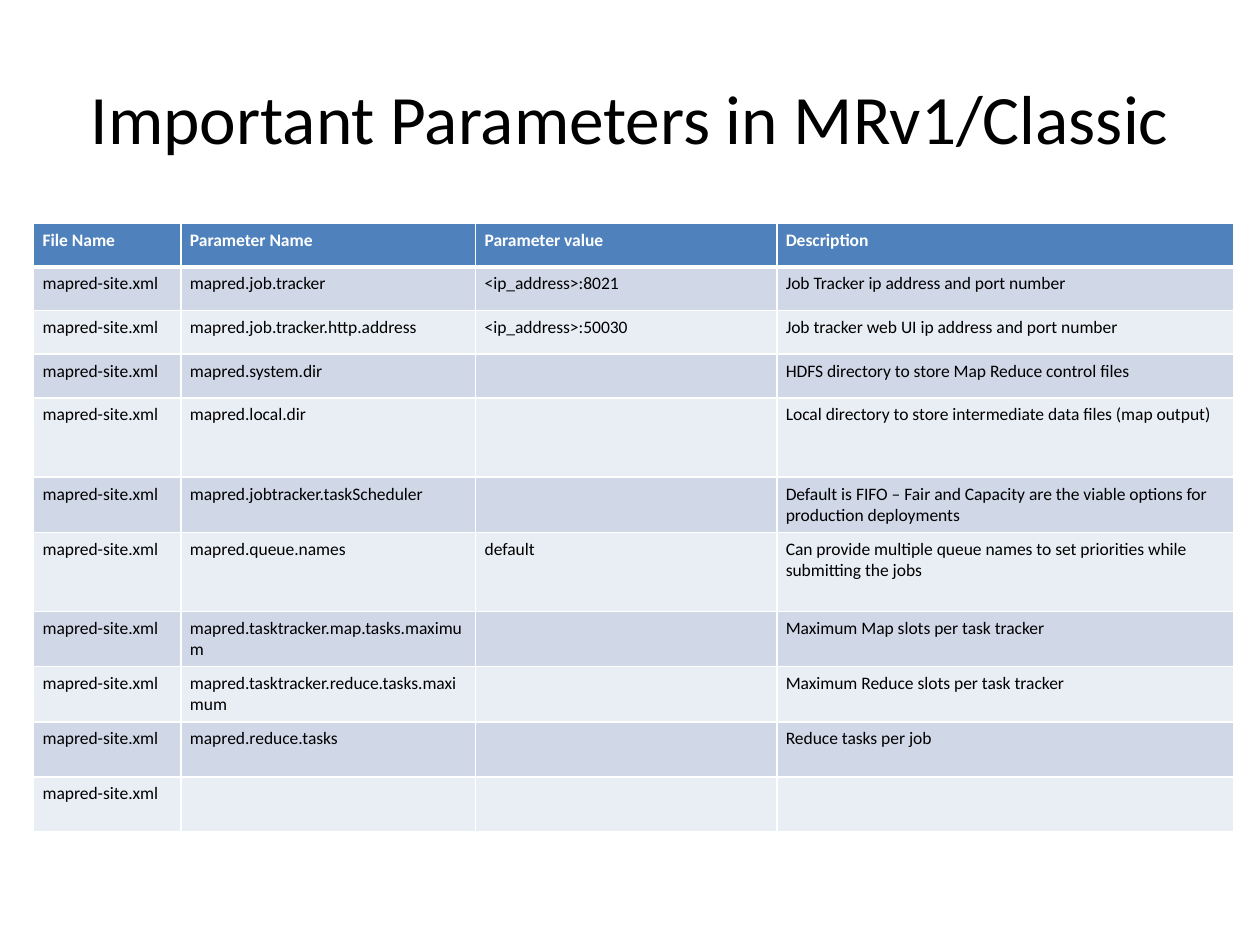
from lxml.etree import SubElement
from pptx import Presentation
from pptx.dml.color import RGBColor
from pptx.enum.text import MSO_ANCHOR, PP_ALIGN
from pptx.oxml.ns import qn
from pptx.util import Cm, Pt

FONT = "Calibri"
WHITE, BLACK, HEADER_FILL = "FFFFFF", "000000", "4F81BD"
BAND_FILLS = ["D0D8E8", "E9EDF4"]
HEADERS = ["File Name", "Parameter Name", "Parameter value", "Description"]
FILE_NAME = "mapred-site.xml"
SHORT, MEDIUM, TALL = 0.88, 1.11, 1.6
COL_WIDTHS = [2.97, 5.94, 6.07, 9.22]
# Row height, parameter name, value, description
PARAMETERS = [
    (SHORT, "mapred.job.tracker", "<ip_address>:8021",
     "Job Tracker ip address and port number"),
    (SHORT, "mapred.job.tracker.http.address", "<ip_address>:50030",
     "Job tracker web UI ip address and port number"),
    (SHORT, "mapred.system.dir", "",
     "HDFS directory to store Map Reduce control files"),
    (TALL, "mapred.local.dir", "",
     "Local directory to store intermediate data files (map output)"),
    (MEDIUM, "mapred.jobtracker.taskScheduler", "",
     "Default is FIFO – Fair and Capacity are the viable options for "
     "production deployments"),
    (TALL, "mapred.queue.names", "default",
     "Can provide multiple queue names to set priorities while "
     "submitting the jobs"),
    (MEDIUM, "mapred.tasktracker.map.tasks.maximum", "",
     "Maximum Map slots per task tracker"),
    (MEDIUM, "mapred.tasktracker.reduce.tasks.maximum", "",
     "Maximum Reduce slots per task tracker"),
    (MEDIUM, "mapred.reduce.tasks", "", "Reduce tasks per job"),
    (MEDIUM, "", "", ""),
]


def rgb(color):
    return RGBColor.from_string(color)


def format_runs(p, size, color, bold=False):
    for r in p.runs:
        r.font.name = FONT
        r.font.size = Pt(size)
        r.font.bold = bold
        r.font.color.rgb = rgb(color)


def add_title(slide, text):
    box = slide.shapes.add_textbox(Cm(1.27), Cm(0.76), Cm(22.86), Cm(3.18))
    tf = box.text_frame
    tf.word_wrap = True
    tf.vertical_anchor = MSO_ANCHOR.MIDDLE
    tf.text = text
    p = tf.paragraphs[0]
    p.alignment = PP_ALIGN.CENTER
    format_runs(p, 39.6, BLACK)


def set_borders(cell, top=1, bottom=1):
    """Draw white lines of the given point widths; call before filling."""
    tcPr = cell._tc.get_or_add_tcPr()
    for side, width in (("L", 1), ("R", 1), ("T", top), ("B", bottom)):
        ln = SubElement(tcPr, qn(f"a:ln{side}"), w=str(Pt(width)))
        fill = SubElement(ln, qn("a:solidFill"))
        SubElement(fill, qn("a:srgbClr"), val=WHITE)


def fill_cell(cell, text, row):
    is_header = row == 0
    set_borders(cell, top=3 if row == 1 else 1, bottom=3 if is_header else 1)
    cell.fill.solid()
    cell.fill.fore_color.rgb = rgb(
        HEADER_FILL if is_header else BAND_FILLS[(row - 1) % 2])
    cell.margin_left = cell.margin_right = Cm(0.18)
    cell.margin_top = cell.margin_bottom = Cm(0.13)
    p = cell.text_frame.paragraphs[0]
    if text:
        p.text = text
        format_runs(p, 10, WHITE if is_header else BLACK, is_header)
    else:
        # Keeps an empty cell from stretching its row
        SubElement(p._p, qn("a:endParaRPr"), sz="1000")


def add_parameter_table(slide):
    rows = [(SHORT, *HEADERS)]
    rows += [(height, FILE_NAME, *texts) for height, *texts in PARAMETERS]
    table = slide.shapes.add_table(
        len(rows), len(HEADERS), Cm(0.68), Cm(4.5),
        Cm(sum(COL_WIDTHS)), Cm(sum(row[0] for row in rows))).table
    for column, width in zip(table.columns, COL_WIDTHS):
        column.width = Cm(width)
    for i, (height, *texts) in enumerate(rows):
        table.rows[i].height = Cm(height)
        for j, text in enumerate(texts):
            fill_cell(table.cell(i, j), text, i)


def main():
    prs = Presentation()
    prs.slide_width, prs.slide_height = Cm(25.4), Cm(19.05)
    slide = prs.slides.add_slide(prs.slide_layouts[6])
    add_title(slide, "Important Parameters in MRv1/Classic")
    add_parameter_table(slide)
    prs.save("out.pptx")


if __name__ == "__main__":
    main()
